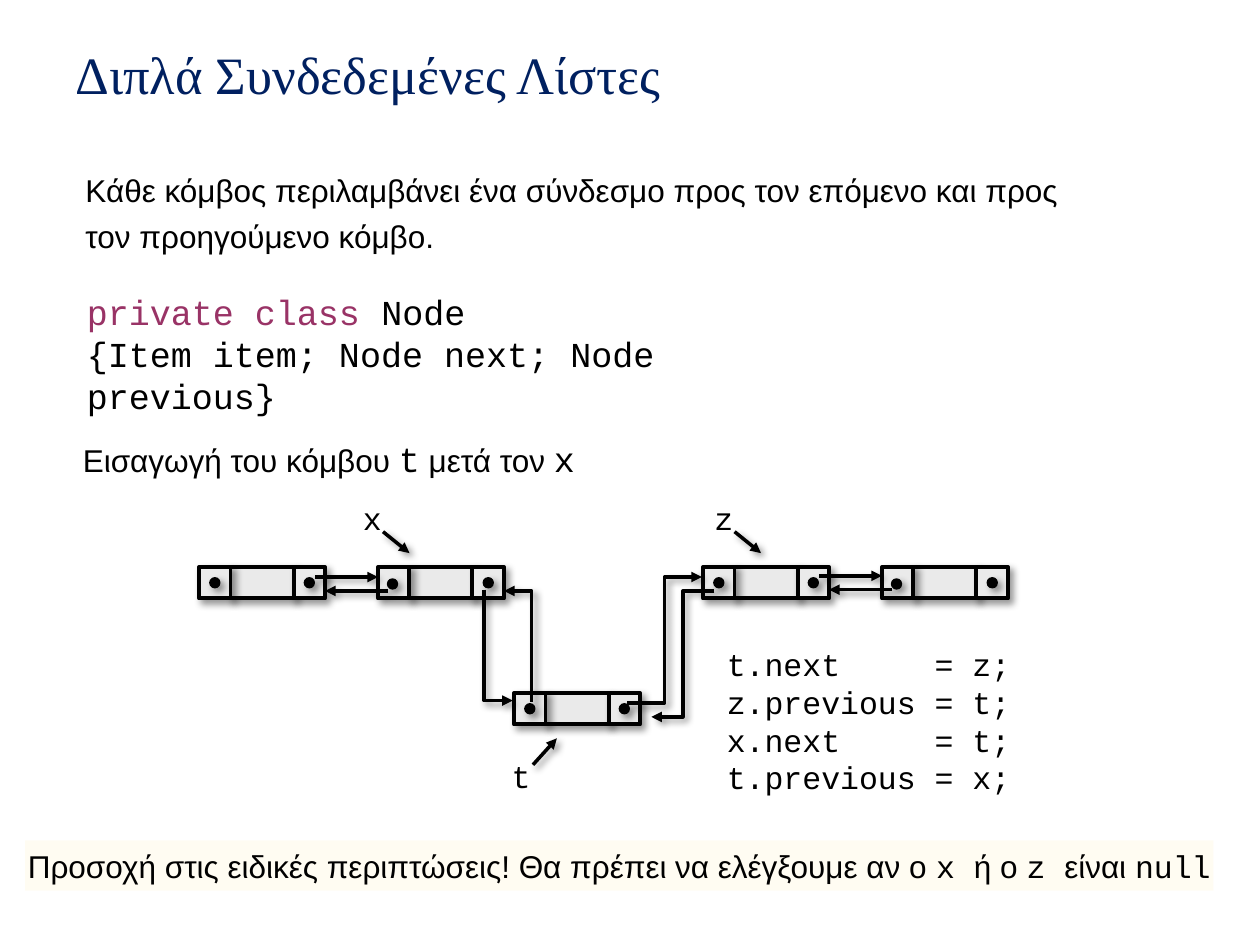
from lxml import etree
from pptx import Presentation
from pptx.dml.color import RGBColor
from pptx.enum.shapes import MSO_CONNECTOR, MSO_SHAPE
from pptx.enum.text import MSO_ANCHOR, PP_ALIGN
from pptx.oxml import parse_xml
from pptx.oxml.ns import nsdecls, qn
from pptx.util import Inches, Pt

COLORS = {"title": "002060", "text": "000000", "keyword": "993366",
          "cell": "EAEAEA", "banner": "FFF0C2"}
SANS, MONO, SERIF = "Arial", "Courier New", "Times New Roman"

# Content: each paragraph is a list of (text, font, size, color name)
TITLE = [("Διπλά Συνδεδεμένες Λίστες", SERIF, 30, "title")]
INTRO = [[("Κάθε κόμβος περιλαμβάνει ένα σύνδεσμο προς τον επόμενο και προς "
           "τον προηγούμενο κόμβο.", SANS, 18, "text")]]
NODE_CLASS = [
    [("private class", MONO, 20, "keyword"), (" Node", MONO, 20, "text")],
    [("{Item item; Node next; Node previous}", MONO, 20, "text")],
]
INSERTION = [[("Εισαγωγή του κόμβου ", SANS, 18, "text"), ("t", MONO, 20, "text"),
              (" μετά τον ", SANS, 18, "text"), ("x", MONO, 20, "text")]]
STEPS = [[(line, MONO, 18, "text")] for line in (
    "t.next     = z;", "z.previous = t;", "x.next     = t;", "t.previous = x;")]
WARNING = [[
    ("Προσοχή στις ειδικές περιπτώσεις! Θα πρέπει να ελέγξουμε αν ο ", SANS, 18, "text"),
    ("x ", MONO, 18, "text"), ("ή ο ", SANS, 18, "text"), ("z ", MONO, 18, "text"),
    ("είναι ", SANS, 18, "text"), ("null", MONO, 18, "text")]]

# Diagram: nodes as (left, top, shift of the left dot), cells as multiples of CELL
CELL, DOT = 0.25, 0.08
NODES = [(1.58, 4.5, 0), (3, 4.5, -0.01), (5.58, 4.5, 0), (7, 4.5, -0.01), (4.08, 5.5, 0)]
LABELS = [("x", 2.58, 3.91), ("z", 5.37, 3.91), ("t", 3.76, 5.96)]
STRAIGHT = [  # start x, start y, end x, end y
    (2.5, 4.58, 3, 4.58), (3.08, 4.69, 2.58, 4.69),
    (6.5, 4.57, 7, 4.57), (7.08, 4.68, 6.58, 4.68),
    (3.04, 4.22, 3.25, 4.39), (5.83, 4.22, 6.04, 4.39), (4.23, 6.07, 4.42, 5.86),
]
STEPPED = [(4.98, 5.58, 5.57, 4.58), (5.67, 4.69, 5.17, 5.69)]
CORNERED = [(3.84, 4.68, 4.07, 5.56), (4.22, 5.57, 4, 4.69)]  # vertical, then horizontal

deck = Presentation()
deck.slide_width, deck.slide_height = Inches(10), Inches(7.5)
page = deck.slides.add_slide(deck.slide_layouts[5])


def rgb(name):
    return RGBColor.from_string(COLORS[name])


def add_shadow(shape):
    shape._element.spPr.append(parse_xml(
        f'<a:effectLst {nsdecls("a")}><a:outerShdw blurRad="{Pt(4)}" dist="{Pt(3)}" '
        f'dir="2700000" rotWithShape="0"><a:srgbClr val="{COLORS["text"]}">'
        '<a:alpha val="40000"/></a:srgbClr></a:outerShdw></a:effectLst>'))


def write(frame, paragraphs, align=PP_ALIGN.LEFT, spacing=None):
    for index, spans in enumerate(paragraphs):
        para = frame.paragraphs[0] if index == 0 else frame.add_paragraph()
        para.alignment = align
        if spacing:
            para.line_spacing = spacing
        for text, font, size, color in spans:
            span = para.add_run()
            span.text = text
            span.font.name, span.font.size = font, Pt(size)
            span.font.color.rgb = rgb(color)


def add_text(paragraphs, left, top, width, height, wrap=True, **style):
    box = page.shapes.add_textbox(Inches(left), Inches(top), Inches(width), Inches(height))
    box.text_frame.word_wrap = wrap
    write(box.text_frame, paragraphs, **style)


def add_solid(kind, left, top, width, height, fill, line_width):
    shape = page.shapes.add_shape(kind, Inches(left), Inches(top), Inches(width), Inches(height))
    shape.fill.solid()
    shape.fill.fore_color.rgb = rgb(fill)
    shape.line.color.rgb = rgb("text")
    shape.line.width = Pt(line_width)
    add_shadow(shape)


def add_node(left, top, dot_shift):
    add_solid(MSO_SHAPE.RECTANGLE, left + CELL, top, 2 * CELL, CELL, "cell", 2.25)
    for cell_left, shift in ((left, dot_shift), (left + 3 * CELL, 0)):
        add_solid(MSO_SHAPE.RECTANGLE, cell_left, top, CELL, CELL, "cell", 2.25)
        inset = (CELL - DOT) / 2
        add_solid(MSO_SHAPE.OVAL, cell_left + inset + shift, top + inset - shift,
                  DOT, DOT, "text", 0.75)


def add_arrow(kind, *ends):
    arrow = page.shapes.add_connector(kind, *[Inches(end) for end in ends])
    arrow.line.color.rgb = rgb("text")
    arrow.line.width = Pt(2)
    etree.SubElement(arrow.line._get_or_add_ln(), qn("a:tailEnd"), type="triangle")
    add_shadow(arrow)
    return arrow


def add_corner_arrow(x1, y1, x2, y2):
    # A one-bend connector turned by 270 degrees about its centre
    middle_x, middle_y = (x1 + x2) / 2, (y1 + y2) / 2
    half_x, half_y = (x2 - x1) / 2, (y2 - y1) / 2
    arrow = add_arrow(MSO_CONNECTOR.ELBOW, middle_x + half_y, middle_y - half_x,
                      middle_x - half_y, middle_y + half_x)
    properties = arrow._element.spPr
    properties.find(qn("a:prstGeom")).set("prst", "bentConnector2")
    properties.find(qn("a:xfrm")).set("rot", str(270 * 60000))


# Title
title = page.shapes.title
title.left, title.top, title.width, title.height = [Inches(n) for n in (0.5, 0.3, 9, 0.53)]
title.text_frame.vertical_anchor = MSO_ANCHOR.BOTTOM
title.text_frame.margin_bottom = 0
write(title.text_frame, [TITLE])

# Explanations and code
add_text(INSERTION, 0.55, 3.42, 4.12, 0.44, wrap=False, align=PP_ALIGN.CENTER)
add_text(INTRO, 0.58, 1.25, 8.08, 0.8, spacing=Pt(26))
add_text(NODE_CLASS, 0.59, 2.26, 6.22, 0.77)
add_text(STEPS, 5.67, 5.07, 2.67, 1.31)

# Linked nodes, their labels and links
for node in NODES:
    add_node(*node)
for name, left, top in LABELS:
    add_text([[(name, MONO, 18, "text")]], left, top, 0.75, 0.4, align=PP_ALIGN.CENTER)
for ends in STRAIGHT:
    add_arrow(MSO_CONNECTOR.STRAIGHT, *ends)
for ends in STEPPED:
    add_arrow(MSO_CONNECTOR.ELBOW, *ends)
for ends in CORNERED:
    add_corner_arrow(*ends)

# Warning banner
banner = page.shapes.add_shape(MSO_SHAPE.RECTANGLE, Inches(0.2), Inches(6.67),
                               Inches(9.43), Inches(0.4))
banner.shadow.inherit = False
banner.line.fill.background()
banner.fill.solid()
banner.fill.fore_color.rgb = rgb("banner")
tint = banner._element.spPr.find(qn("a:solidFill"))[0]
etree.SubElement(tint, qn("a:alpha"), val="20000")
banner.text_frame.word_wrap = False
write(banner.text_frame, WARNING, align=PP_ALIGN.CENTER)

deck.save("out.pptx")
